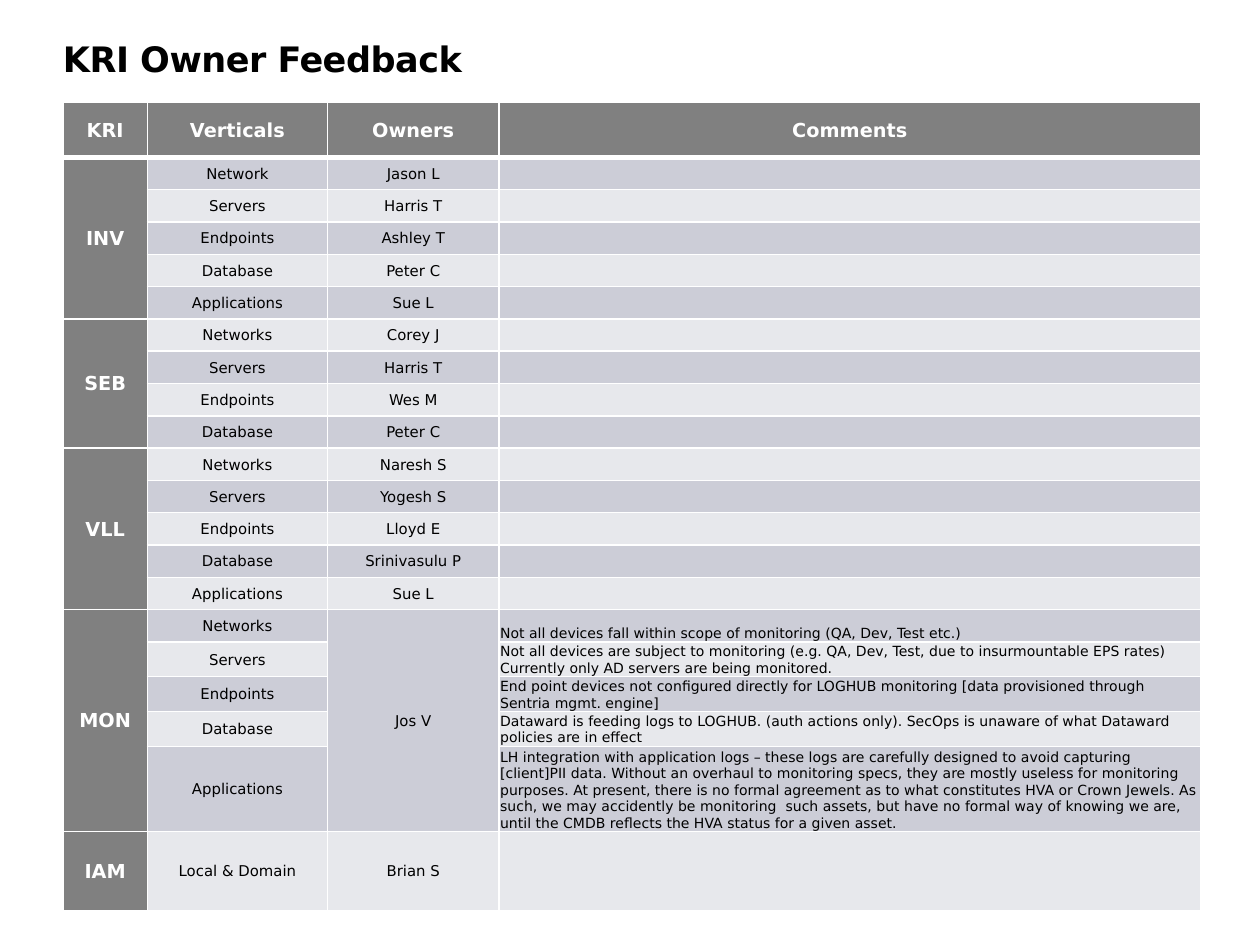
from dataclasses import dataclass

from lxml.etree import SubElement
from pptx import Presentation
from pptx.dml.color import RGBColor as Color
from pptx.enum.text import MSO_ANCHOR as Anchor, PP_ALIGN as Align
from pptx.oxml.ns import qn
from pptx.util import Inches, Pt


@dataclass(frozen=True)
class Theme:
    font: str = "DejaVu Sans"
    ink: str = "000000"
    paper: str = "FFFFFF"
    header: str = "808080"
    bands: tuple = ("CCCDD7", "E7E8EC")
    title_size: float = 20
    header_size: float = 11
    body_size: float = 8.5
    comment_size: float = 8
    thin: float = 1
    thick: float = 3


HEADINGS = ("KRI", "Verticals", "Owners", "Comments")
# Each group: KRI name, then (vertical, owner, comment) rows.
# An owner of None continues the owner above.
GROUPS = (
    ("INV", (
        ("Network", "Jason L", ""),
        ("Servers", "Harris T", ""),
        ("Endpoints", "Ashley T", ""),
        ("Database", "Peter C", ""),
        ("Applications", "Sue L", ""),
    )),
    ("SEB", (
        ("Networks", "Corey J", ""),
        ("Servers", "Harris T", ""),
        ("Endpoints", "Wes M", ""),
        ("Database", "Peter C", ""),
    )),
    ("VLL", (
        ("Networks", "Naresh S", ""),
        ("Servers", "Yogesh S", ""),
        ("Endpoints", "Lloyd E", ""),
        ("Database", "Srinivasulu P", ""),
        ("Applications", "Sue L", ""),
    )),
    ("MON", (
        ("Networks", "Jos V",
         "Not all devices fall within scope of monitoring (QA, Dev, Test etc.)"),
        ("Servers", None,
         "Not all devices are subject to monitoring (e.g. QA, Dev, Test, due to "
         "insurmountable EPS rates)\nCurrently only AD servers are being monitored."),
        ("Endpoints", None,
         "End point devices not configured directly for LOGHUB monitoring "
         "[data provisioned through Sentria mgmt. engine]"),
        ("Database", None,
         "Dataward is feeding logs to LOGHUB. (auth actions only). SecOps is "
         "unaware of what Dataward policies are in effect"),
        ("Applications", None,
         "LH integration with application logs – these logs are carefully designed "
         "to avoid capturing [client]PII data. Without an overhaul to monitoring "
         "specs, they are mostly useless for monitoring purposes. At present, there "
         "is no formal agreement as to what constitutes HVA or Crown Jewels. As such, "
         "we may accidently be monitoring  such assets, but have no formal way of "
         "knowing we are, until the CMDB reflects the HVA status for a given asset."),
    )),
    ("IAM", (("Local & Domain", "Brian S", ""),)),
)

COLUMN_WIDTHS = (0.67, 1.43, 1.36, 5.57)
PLAIN_ROW = 3.59 / 14
ROW_HEIGHTS = (0.44, *[PLAIN_ROW] * 15, *[0.27] * 3, 0.66, 0.63)


class SlideBuilder:
    """Holds the theme and the current slide."""

    def __init__(self, deck, theme):
        self.theme = theme
        self.slide = deck.slides.add_slide(deck.slide_layouts[6])

    def add_text(self, para, text, size, color, bold=False):
        for index, line in enumerate(text.split("\n")):
            if index:
                para.add_line_break()
            span = para.add_run()
            span.text = line
            span.font.name = self.theme.font
            span.font.size = Pt(size)
            span.font.bold = bold
            span.font.color.rgb = Color.from_string(color)
        return span

    def title(self, text, left, top, width, height):
        box = self.slide.shapes.add_textbox(*map(Inches, (left, top, width, height)))
        frame = box.text_frame
        frame.word_wrap = True
        frame.margin_left = frame.margin_right = 0
        frame.margin_top = frame.margin_bottom = 0
        span = self.add_text(frame.paragraphs[0], text, self.theme.title_size,
                             self.theme.ink, bold=True)
        span.font._element.set("spc", "-30")

    def table(self, left, top, widths, heights):
        frame = self.slide.shapes.add_table(
            len(heights), len(widths),
            *map(Inches, (left, top, sum(widths), sum(heights))))
        table = frame.table
        table.first_row = table.horz_banding = False
        for column, width in zip(table.columns, widths):
            column.width = Inches(width)
        for row, height in zip(table.rows, heights):
            row.height = Inches(height)
        return table

    def borders(self, cell, top, bottom):
        props = cell._tc.get_or_add_tcPr()
        thin = self.theme.thin
        for side, weight in zip("LRTB", (thin, thin, top, bottom)):
            line = SubElement(props, qn(f"a:ln{side}"), w=str(Pt(weight)))
            fill = SubElement(line, qn("a:solidFill"))
            SubElement(fill, qn("a:srgbClr"), val=self.theme.paper)

    def cell(self, cell, text, fill, size, color, bold=False,
             align=Align.CENTER, anchor=Anchor.MIDDLE, top=None, bottom=None):
        self.borders(cell, top or self.theme.thin, bottom or self.theme.thin)
        cell.fill.solid()
        cell.fill.fore_color.rgb = Color.from_string(fill)
        cell.margin_left = cell.margin_right = cell.margin_top = Inches(0.01)
        cell.margin_bottom = 0
        cell.vertical_anchor = anchor
        para = cell.text_frame.paragraphs[0]
        para.alignment = align
        if text:
            self.add_text(para, text, size, color, bold)
        else:
            # Keeps an empty cell from stretching its row.
            SubElement(para._p, qn("a:endParaRPr"), sz=str(int(size * 100)))

    def header_cell(self, cell, text, **edges):
        theme = self.theme
        self.cell(cell, text, theme.header, theme.header_size, theme.paper,
                  bold=True, **edges)

    def feedback_table(self, left, top):
        theme = self.theme
        table = self.table(left, top, COLUMN_WIDTHS, ROW_HEIGHTS)
        for column, heading in enumerate(HEADINGS):
            self.header_cell(table.cell(0, column), heading, bottom=theme.thick)
        row = 1
        for kri, entries in GROUPS:
            first, last = row, row + len(entries) - 1
            for vertical, owner, comment in entries:
                band = theme.bands[(row - 1) % 2]
                edge = {"top": theme.thick if row == 1 else theme.thin}
                self.header_cell(table.cell(row, 0), kri if row == first else "", **edge)
                for column, text in ((1, vertical), (2, owner)):
                    self.cell(table.cell(row, column), text, band,
                              theme.body_size, theme.ink, **edge)
                self.cell(table.cell(row, 3), comment, band, theme.comment_size,
                          theme.ink, align=Align.LEFT, anchor=Anchor.BOTTOM, **edge)
                row += 1
            if last > first:
                table.cell(first, 0).merge(table.cell(last, 0))
            if entries[-1][1] is None:
                table.cell(first, 2).merge(table.cell(last, 2))


def main():
    deck = Presentation()
    deck.slide_width, deck.slide_height = Inches(10), Inches(7.5)
    page = SlideBuilder(deck, Theme())
    page.title("KRI Owner Feedback", 0.5, 0.3, 8, 0.59)
    page.feedback_table(0.5, 0.81)
    deck.save("out.pptx")


if __name__ == "__main__":
    main()
